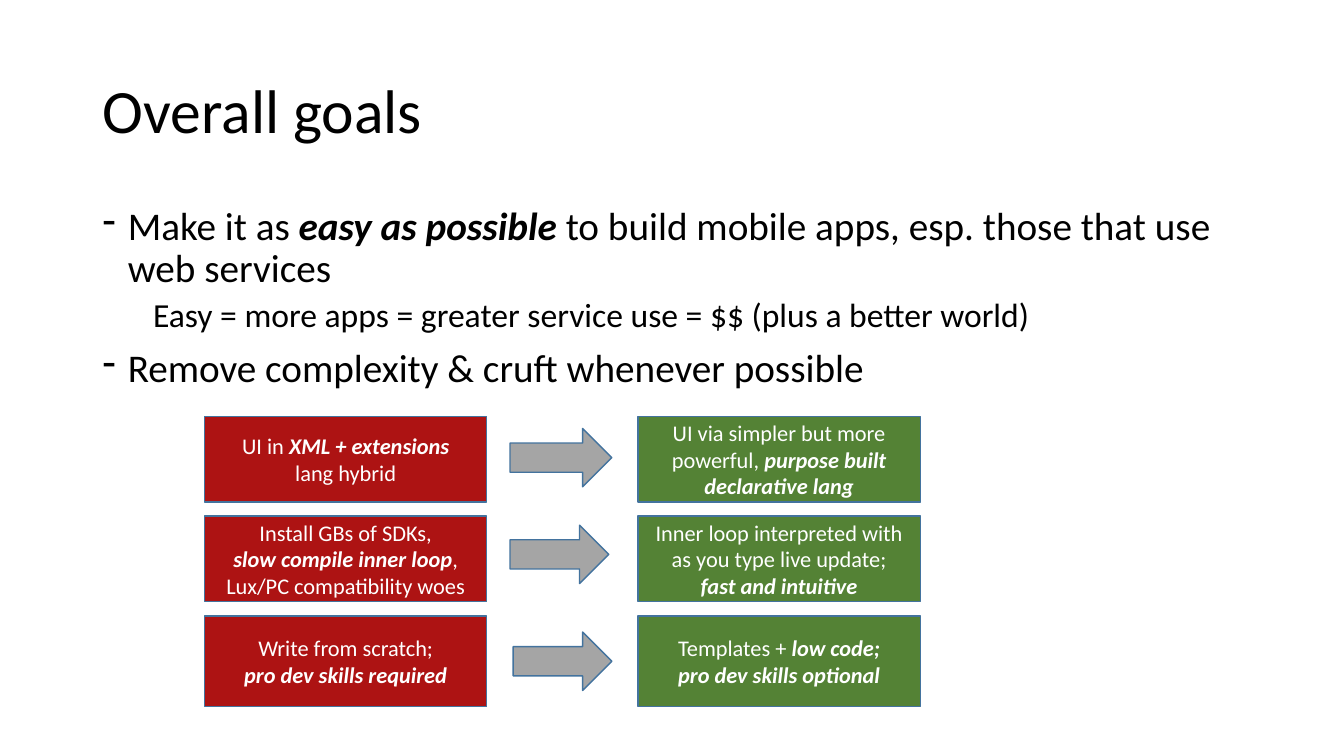
from dataclasses import dataclass

from lxml import etree
from pptx import Presentation
from pptx.dml.color import RGBColor
from pptx.enum.shapes import MSO_SHAPE
from pptx.enum.text import MSO_ANCHOR, PP_ALIGN
from pptx.oxml.ns import qn
from pptx.util import Pt

RECTANGLE = MSO_SHAPE.RECTANGLE
RIGHT_ARROW = MSO_SHAPE.RIGHT_ARROW
MIDDLE, TOP = MSO_ANCHOR.MIDDLE, MSO_ANCHOR.TOP
CENTER, LEFT = PP_ALIGN.CENTER, PP_ALIGN.LEFT

BLACK, WHITE = "000000", "FFFFFF"
RED, GREEN, GRAY, OUTLINE = "AD1313", "548235", "A5A5A5", "43739E"
FONT = "Calibri"

BEFORE_LEFT, AFTER_LEFT, BOX_WIDTH = 146.16, 455.76, 201.6
FIRST_TOP, ROW_PITCH = 297.36, 71.28
ARROW_HEIGHT = 41.76


@dataclass
class Box:
    left: float
    top: float
    width: float
    height: float


@dataclass
class Line:
    text: str
    size: float
    color: str = BLACK
    align: PP_ALIGN = LEFT
    spacing: float = 1.0
    space_before: float = 0
    margin: float = 0
    bullet: str = ""


@dataclass
class Change:
    before: list[str]
    after: list[str]
    box_height: float
    arrow: Box


TITLE = Line("Overall goals", 44, spacing=0.9)
GOALS = [
    Line("Make it as *easy as possible *to build mobile apps, esp. those that use web services",
         28, spacing=0.9, space_before=10, margin=18, bullet="-"),
    Line("Easy = more apps = greater service use = $$ (plus a better world)",
         24, spacing=0.9, space_before=5, margin=36),
    Line("Remove complexity & cruft whenever possible",
         28, spacing=0.9, space_before=10, margin=18, bullet="-"),
]
CHANGES = [
    Change(["UI in *XML + extensions\n*lang hybrid"],
           ["UI via simpler but more powerful, *purpose built declarative lang*"],
           61.2, Box(364.32, 306, 72.72, ARROW_HEIGHT)),
    Change(["Install GBs of SDKs,\n*slow compile inner loop*, Lux/PC compatibility woes"],
           ["Inner loop interpreted with\nas you type live update;", "*fast and intuitive*"],
           61.2, Box(364.32, 375.12, 70.56, ARROW_HEIGHT)),
    Change(["Write from scratch;", "*pro dev skills required*"],
           ["Templates + *low code;*", "*pro dev skills optional*"],
           64.8, Box(366.48, 451.44, 70.56, ARROW_HEIGHT)),
]


def rgb(color: str) -> RGBColor:
    return RGBColor.from_string(color)


def place(box: Box) -> tuple[Pt, Pt, Pt, Pt]:
    return Pt(box.left), Pt(box.top), Pt(box.width), Pt(box.height)


def add_runs(paragraph, text: str) -> None:
    for index, part in enumerate(text.split("*")):
        for number, piece in enumerate(part.split("\n")):
            if number:
                paragraph.add_line_break()
            if piece:
                run = paragraph.add_run()
                run.text = piece
                if index % 2:
                    run.font.bold = run.font.italic = True


def set_bullet(paragraph, line: Line) -> None:
    properties = paragraph._p.get_or_add_pPr()
    properties.set("marL", str(Pt(line.margin)))
    properties.set("indent", str(-Pt(line.margin) if line.bullet else 0))
    if line.bullet:
        bullet = etree.Element(qn("a:buChar"), char=line.bullet)
        properties.insert_element_before(bullet, "a:tabLst", "a:defRPr", "a:extLst")


def write(shape, lines: list[Line], anchor: MSO_ANCHOR) -> None:
    frame = shape.text_frame
    frame.word_wrap = True
    frame.vertical_anchor = anchor
    for index, line in enumerate(lines):
        paragraph = frame.add_paragraph() if index else frame.paragraphs[0]
        paragraph.alignment = line.align
        paragraph.line_spacing = line.spacing
        paragraph.space_before = Pt(line.space_before)
        paragraph.font.name = FONT
        paragraph.font.size = Pt(line.size)
        paragraph.font.color.rgb = rgb(line.color)
        set_bullet(paragraph, line)
        add_runs(paragraph, line.text)


def add_text(slide, box: Box, lines: list[Line], anchor: MSO_ANCHOR) -> None:
    write(slide.shapes.add_textbox(*place(box)), lines, anchor)


def add_block(slide, kind: MSO_SHAPE, box: Box, fill: str, texts: list[str]) -> None:
    shape = slide.shapes.add_shape(kind, *place(box))
    shape.shadow.inherit = False
    shape.fill.solid()
    shape.fill.fore_color.rgb = rgb(fill)
    shape.line.color.rgb = rgb(OUTLINE)
    shape.line.width = Pt(1)
    write(shape, [Line(text, 16, WHITE, CENTER) for text in texts], MIDDLE)


def add_change(slide, change: Change, top: float) -> None:
    for left, fill, texts in ((AFTER_LEFT, GREEN, change.after), (BEFORE_LEFT, RED, change.before)):
        add_block(slide, RECTANGLE, Box(left, top, BOX_WIDTH, change.box_height), fill, texts)
    add_block(slide, RIGHT_ARROW, change.arrow, GRAY, [])


def main() -> None:
    presentation = Presentation()
    presentation.slide_width = Pt(960)
    presentation.slide_height = Pt(540)
    slide = presentation.slides.add_slide(presentation.slide_layouts[6])
    add_text(slide, Box(66.24, 28.8, 828, 104.4), [TITLE], MIDDLE)
    add_text(slide, Box(66.24, 144, 828, 342.72), GOALS, TOP)
    for row, change in enumerate(CHANGES):
        add_change(slide, change, FIRST_TOP + row * ROW_PITCH)
    presentation.save("out.pptx")


if __name__ == "__main__":
    main()
